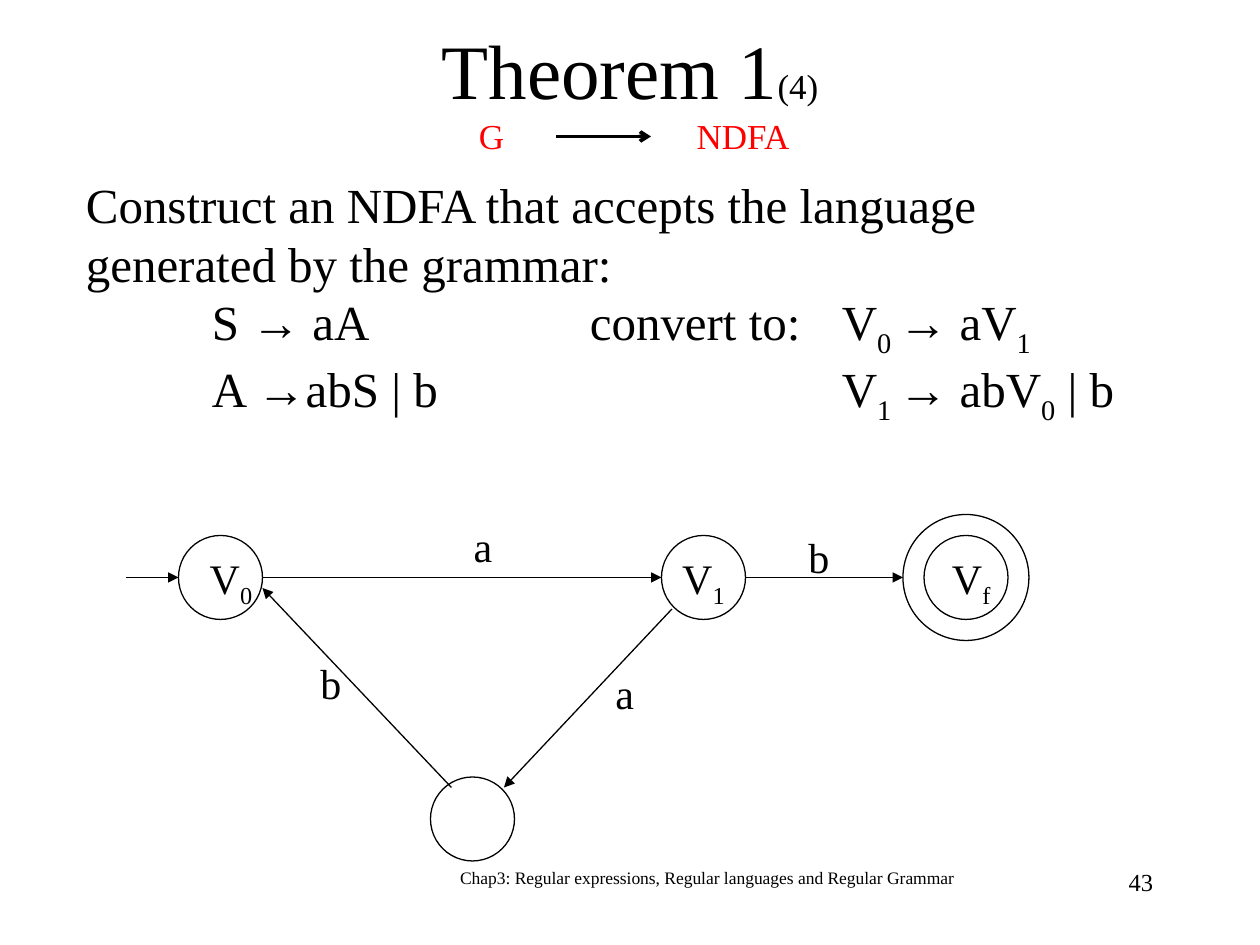
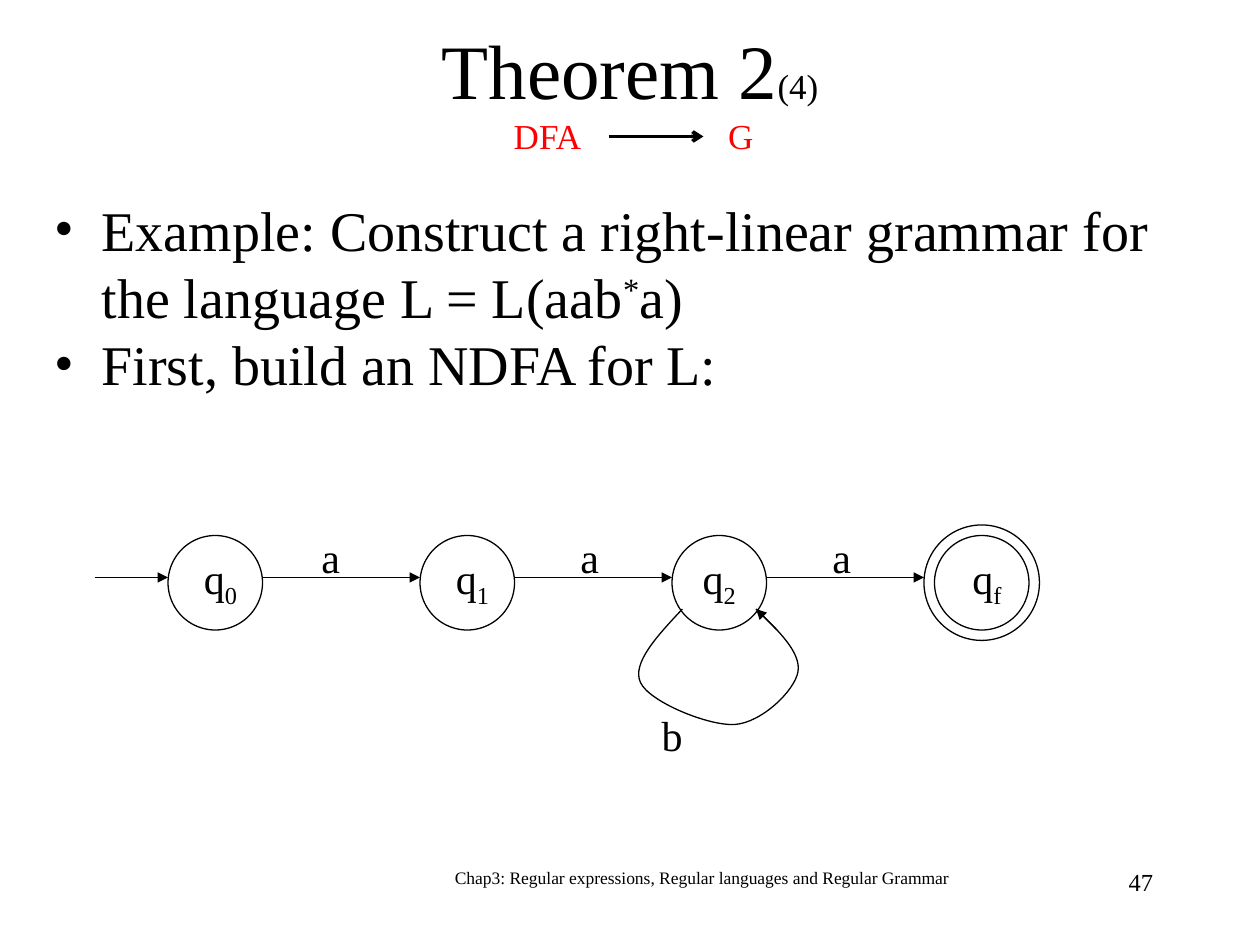
from dataclasses import dataclass

from lxml import etree
from pptx import Presentation
from pptx.dml.color import RGBColor
from pptx.enum.shapes import MSO_CONNECTOR, MSO_SHAPE
from pptx.enum.text import MSO_ANCHOR, PP_ALIGN
from pptx.oxml.ns import qn
from pptx.util import Pt

LEFT, CENTER, RIGHT = PP_ALIGN.LEFT, PP_ALIGN.CENTER, PP_ALIGN.RIGHT
TOP, MIDDLE = MSO_ANCHOR.TOP, MSO_ANCHOR.MIDDLE
ELLIPSE = MSO_SHAPE.OVAL
STRAIGHT = MSO_CONNECTOR.STRAIGHT

SERIF, SANS = "Times New Roman", "Arial"
BLACK, WHITE, RED = "000000", "FFFFFF", "FF0000"
FOOTER = "Chap3: Regular expressions, Regular languages and Regular Grammar"
STATE_TOP = 306
AXIS = 330


def color(value):
    return RGBColor.from_string(value)


@dataclass
class Span:
    text: str
    baseline: int = 0
    font: str = ""
    size: int = 0


def sub(text):
    return Span(text, baseline=-25000)


ARROW = Span("→", font=SANS)


class Lecture:
    def __init__(self):
        self.deck = Presentation()
        self.deck.slide_width, self.deck.slide_height = Pt(720), Pt(540)
        self.page = None

    def new_page(self, title, part, source, target, tabs, arrow_left, number, footer_width):
        self.page = self.deck.slides.add_slide(self.deck.slide_layouts[6])
        frame = self.box(54, 6, 612, 90, MIDDLE)
        self.add_para(frame, [Span(title), Span(part, size=20)], 44, CENTER)
        self.add_para(frame, [Span(f"\t{source}\t{target}")], 20, tabs=tabs, ink=RED)
        self.arrow((arrow_left, 78), (arrow_left + 54, 78), 2, "arrow")
        self.add_para(self.box(245, 492, footer_width, 36), [Span(FOOTER)], 10, CENTER)
        self.add_para(self.box(516, 492, 150, 36), [Span(str(number))], 14, RIGHT)

    def box(self, left, top, width, height, anchor=TOP):
        box = self.page.shapes.add_textbox(Pt(left), Pt(top), Pt(width), Pt(height))
        frame = box.text_frame
        frame.word_wrap = True
        frame.vertical_anchor = anchor
        return frame

    def add_para(self, frame, spans, size, align=LEFT, tabs=(), bullet=False, ink=BLACK):
        para = frame.paragraphs[0]
        if para.runs:
            para = frame.add_paragraph()
        para.alignment = align
        properties = para._p.get_or_add_pPr()
        if bullet:
            properties.set("marL", str(Pt(27)))
            properties.set("indent", str(-Pt(27)))
            etree.SubElement(properties, qn("a:buFont"), typeface=SERIF)
            etree.SubElement(properties, qn("a:buChar"), char="•")
        if tabs:
            stops = etree.SubElement(properties, qn("a:tabLst"))
            for stop in tabs:
                etree.SubElement(stops, qn("a:tab"), pos=str(Pt(stop)), algn="l")
        para.font.name = SERIF
        para.font.size = Pt(size)
        para.font.color.rgb = color(ink)
        for part in spans:
            span = para.add_run()
            span.text = part.text
            if part.font:
                span.font.name = part.font
            if part.size:
                span.font.size = Pt(part.size)
            if part.baseline:
                span._r.get_or_add_rPr().set("baseline", str(part.baseline))

    def label(self, center, top, *spans):
        self.add_para(self.box(center - 36, top, 72, 36), spans, 24, CENTER)

    def circle(self, center, top, size, fill=None):
        circle = self.page.shapes.add_shape(
            ELLIPSE, Pt(center - size / 2), Pt(top), Pt(size), Pt(size))
        self.outline(circle, fill)

    def outline(self, shape, fill=None):
        shape.shadow.inherit = False
        if fill:
            shape.fill.solid()
            shape.fill.fore_color.rgb = color(fill)
        else:
            shape.fill.background()
        shape.line.color.rgb = color(BLACK)
        shape.line.width = Pt(0.75)

    def state(self, name, index, center, size, shift=0, fill=None):
        self.circle(center, STATE_TOP, size, fill)
        self.label(center + shift, 312, Span(name), sub(index))

    def arrow(self, start, end, width=0.75, head="triangle"):
        line = self.page.shapes.add_connector(
            STRAIGHT, *(Pt(value) for value in (*start, *end)))
        line.line.color.rgb = color(BLACK)
        line.line.width = Pt(width)
        etree.SubElement(line.line._get_or_add_ln(), qn("a:tailEnd"), type=head)
        etree.SubElement(line._element.spPr, qn("a:effectLst"))

    def curve(self, start, points):
        builder = self.page.shapes.build_freeform(Pt(start[0]), Pt(start[1]))
        builder.add_line_segments([(Pt(x), Pt(y)) for x, y in points], close=False)
        shape = builder.convert_to_shape()
        segments = list(shape._element.iter(qn("a:lnTo")))
        for first in range(0, len(segments), 3):
            bend = etree.Element(qn("a:cubicBezTo"))
            segments[first].addprevious(bend)
            for segment in segments[first:first + 3]:
                bend.append(segment[0])
                segment.getparent().remove(segment)
        self.outline(shape)


def grammar_to_automaton(lecture):
    lecture.new_page("Theorem 1", "(4)", "G", "NDFA", (212.5, 337), 318, 43, 318)
    frame = lecture.box(42, 96, 630, 151)
    lecture.add_para(frame, [Span(
        "Construct an NDFA that accepts the language generated by the grammar:")], 28)
    lecture.add_para(frame, [
        Span("\tS "), ARROW, Span(" aA\tconvert to:\tV"), sub("0 "),
        ARROW, Span(" aV"), sub("1")], 28, tabs=(72, 288, 432))
    lecture.add_para(frame, [
        Span("\tA "), ARROW, Span("abS | b\tV"), sub("1 "),
        ARROW, Span(" abV"), sub("0"), Span(" | b")], 28, tabs=(72, 432))

    for index, center, shift in (("0", 126, 6), ("1", 402, 0), ("f", 552, 3)):
        lecture.state("V", index, center, 48, shift, WHITE)
    lecture.circle(552, 294, 72)
    lecture.circle(270, 444, 48, WHITE)
    for start, end in (
        ((72, AXIS), (102, AXIS)),
        ((150, AXIS), (378, AXIS)),
        ((426, AXIS), (516, AXIS)),
        ((384, 348), (288, 450)),
        ((258, 450), (150, 336)),
    ):
        lecture.arrow(start, end)
    for letter, center, top in (
            ("a", 276, 294), ("b", 468, 300), ("a", 357, 378), ("b", 189, 372)):
        lecture.label(center, top, Span(letter))


def automaton_to_grammar(lecture):
    lecture.new_page("Theorem 2", "(4)", "DFA", "G", (232.5, 355), 348, 47, 312)
    frame = lecture.box(24, 108, 678, 408)
    lecture.add_para(frame, [
        Span("Example: Construct a right-linear grammar for the language L = L(aab"),
        Span("*", baseline=30000), Span("a)")], 32, bullet=True)
    lecture.add_para(frame, [Span("First, build an NDFA for L:")], 32, bullet=True)

    for index, center, shift in (("0", 123, 3), ("1", 267, 3), ("2", 411, 0), ("f", 561, 3)):
        lecture.state("q", index, center, 54, shift)
    lecture.circle(561, 300, 66)
    lecture.arrow((54, AXIS), (96, AXIS))
    for step, center in enumerate((189, 337, 481)):
        start = 150 + 144 * step
        lecture.arrow((start, AXIS), (start + 90, AXIS))
        lecture.label(center, 300, Span("a"))
    lecture.curve((390, 348), [
        (375.5, 363.5), (361, 379), (366, 390),
        (371, 401), (405, 415), (420, 414),
        (435, 413), (454, 395), (456, 384),
        (458, 373), (445, 360.5), (432, 348)])
    lecture.arrow((444, 360), (432, 348))
    lecture.label(384, 402, Span("b"))


def main():
    lecture = Lecture()
    grammar_to_automaton(lecture)
    automaton_to_grammar(lecture)
    lecture.deck.save("out.pptx")


if __name__ == "__main__":
    main()
